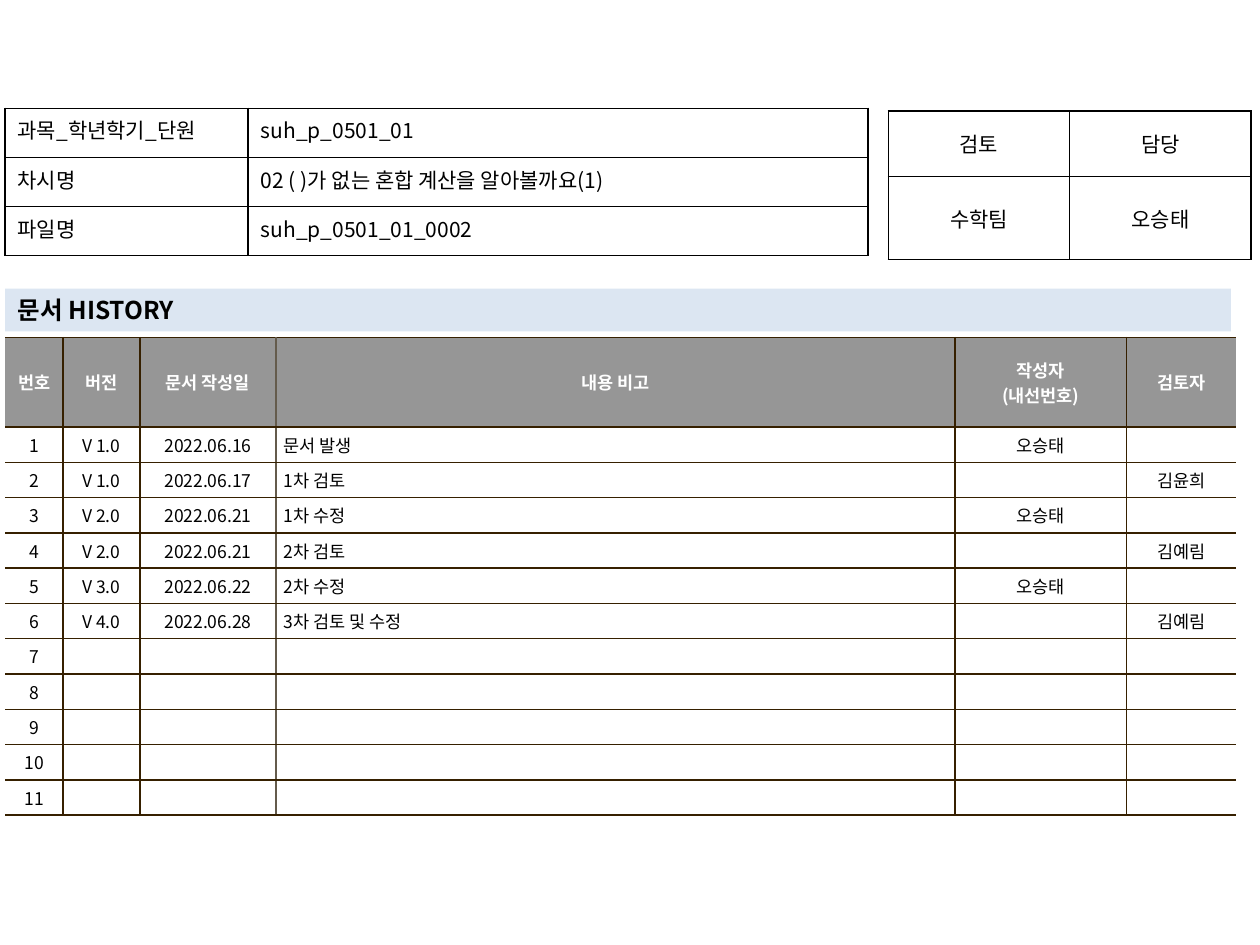
from dataclasses import dataclass
from typing import Optional

from lxml import etree
from pptx import Presentation
from pptx.dml.color import RGBColor
from pptx.enum.text import MSO_ANCHOR, MSO_AUTO_SIZE, PP_ALIGN
from pptx.oxml.ns import qn
from pptx.util import Inches, Pt

LEFT, CENTER, JUSTIFY = PP_ALIGN.LEFT, PP_ALIGN.CENTER, PP_ALIGN.JUSTIFY
TOP, MIDDLE = MSO_ANCHOR.TOP, MSO_ANCHOR.MIDDLE
TITLE_ONLY = 5


@dataclass(frozen=True)
class Theme:
    font: str = "Noto Sans CJK KR"
    ink: str = "000000"
    paper: str = "FFFFFF"
    band: str = "DCE6F2"
    header: str = "969696"
    rule: str = "362000"
    soft_rule: str = "645B4C"
    border_width: float = 1
    small: float = 10
    body: float = 12
    heading: float = 14


THEME = Theme()


@dataclass(frozen=True)
class Grid:
    """A table's place, column widths, row heights (inches) and cell style."""
    left: float
    top: float
    columns: tuple[float, ...]
    rows: tuple[float, ...]
    aligns: tuple[PP_ALIGN, ...]
    anchor: MSO_ANCHOR
    size: float
    inset: tuple[float, float]
    verticals: tuple[Optional[str], ...]
    horizontal: str
    has_header: bool = False


HISTORY_HEAD = ("번호", "버전", "문서 작성일", "내용 비고", "작성자\n(내선번호)", "검토자")
HISTORY_ENTRIES = (
    ("V 1.0", "2022.06.16", "문서 발생", "오승태", ""),
    ("V 1.0", "2022.06.17", "1차 검토", "", "김윤희"),
    ("V 2.0", "2022.06.21", "1차 수정", "오승태", ""),
    ("V 2.0", "2022.06.21", "2차 검토", "", "김예림"),
    ("V 3.0", "2022.06.22", "2차 수정", "오승태", ""),
    ("V 4.0", "2022.06.28", "3차 검토 및 수정", "", "김예림"),
)
HISTORY_LENGTH = 11
BLANK_ENTRY = ("",) * 5
INFO = (
    ("과목_학년학기_단원", "suh_p_0501_01"),
    ("차시명", "02 ( )가 없는 혼합 계산을 알아볼까요(1)"),
    ("파일명", "suh_p_0501_01_0002"),
)
REVIEW = (("검토", "담당"), ("수학팀", "오승태"))

HISTORY_GRID = Grid(
    0.04, 2.68, (0.46, 0.61, 1.08, 5.39, 1.36, 0.87),
    (0.71,) + (0.28,) * HISTORY_LENGTH,
    (CENTER, CENTER, CENTER, LEFT, CENTER, CENTER), MIDDLE, THEME.small, (0.06, 0.04),
    (None, THEME.rule, THEME.rule, THEME.soft_rule, THEME.rule, THEME.rule, None),
    THEME.rule, has_header=True)
REVIEW_GRID = Grid(
    7.05, 0.88, (1.44,) * 2, (0.52, 0.66), (CENTER,) * 2, MIDDLE,
    THEME.body, (0.1, 0.05), (THEME.ink,) * 3, THEME.ink)
INFO_GRID = Grid(
    0.04, 0.86, (1.93, 4.92), (0.39,) * 3, (JUSTIFY, LEFT), TOP,
    THEME.body, (0.1, 0.05), (THEME.ink,) * 3, THEME.ink)


def format_text(frame, size: float, color: str, align: PP_ALIGN, bold: bool = False) -> None:
    for para in frame.paragraphs:
        para.alignment = align
        font = para.font
        font.name, font.size, font.bold = THEME.font, Pt(size), bold
        font.color.rgb = RGBColor.from_string(color)
        defaults = para._p.pPr.find(qn("a:defRPr"))
        etree.SubElement(defaults, qn("a:ea"), typeface=THEME.font)
        if not para.runs:  # keeps a blank cell as low as its row
            etree.SubElement(para._p, qn("a:endParaRPr"), sz=str(int(size * 100)))


def set_borders(cell, left: Optional[str], right: Optional[str], horizontal: str) -> None:
    properties = cell._tc.get_or_add_tcPr()
    edges = (("a:lnL", left), ("a:lnR", right), ("a:lnT", horizontal), ("a:lnB", horizontal))
    for position, (tag, color) in enumerate(edges):
        line = etree.Element(qn(tag), w=str(Pt(THEME.border_width)))
        if color is None:
            etree.SubElement(line, qn("a:noFill"))
        else:
            fill = etree.SubElement(line, qn("a:solidFill"))
            etree.SubElement(fill, qn("a:srgbClr"), val=color)
        properties.insert(position, line)


def draw_table(slide, grid: Grid, texts) -> None:
    table = slide.shapes.add_table(
        len(grid.rows), len(grid.columns), Inches(grid.left), Inches(grid.top),
        Inches(sum(grid.columns)), Inches(sum(grid.rows))).table
    table.first_row = table.horz_banding = False
    for column, width in zip(table.columns, grid.columns):
        column.width = Inches(width)
    for row, height in zip(table.rows, grid.rows):
        row.height = Inches(height)
    for r, row_texts in enumerate(texts):
        is_header = grid.has_header and r == 0
        for c, text in enumerate(row_texts):
            cell = table.cell(r, c)
            cell.text = text
            cell.vertical_anchor = grid.anchor
            cell.margin_left = cell.margin_right = Inches(grid.inset[0])
            cell.margin_top = cell.margin_bottom = Inches(grid.inset[1])
            cell.fill.solid()
            cell.fill.fore_color.rgb = RGBColor.from_string(
                THEME.header if is_header else THEME.paper)
            set_borders(cell, grid.verticals[c], grid.verticals[c + 1], grid.horizontal)
            format_text(cell.text_frame, grid.size,
                        THEME.paper if is_header else THEME.ink,
                        CENTER if is_header else grid.aligns[c], is_header)


def draw_title(slide, text: str) -> None:
    title = slide.shapes.title
    title.left, title.top = Inches(0.04), Inches(2.29)
    title.width, title.height = Inches(9.73), Inches(0.34)
    title.fill.solid()
    title.fill.fore_color.rgb = RGBColor.from_string(THEME.band)
    frame = title.text_frame
    frame.text = text
    frame.auto_size = MSO_AUTO_SIZE.NONE
    frame.vertical_anchor = MIDDLE
    format_text(frame, THEME.heading, THEME.ink, LEFT, bold=True)


def main() -> None:
    deck = Presentation()
    deck.slide_width, deck.slide_height = Inches(10), Inches(7.5)
    slide = deck.slides.add_slide(deck.slide_layouts[TITLE_ONLY])
    entries = HISTORY_ENTRIES + (BLANK_ENTRY,) * (HISTORY_LENGTH - len(HISTORY_ENTRIES))
    numbered = [(str(number), *entry) for number, entry in enumerate(entries, 1)]
    draw_title(slide, "문서 HISTORY")
    draw_table(slide, HISTORY_GRID, [HISTORY_HEAD, *numbered])
    draw_table(slide, REVIEW_GRID, REVIEW)
    draw_table(slide, INFO_GRID, INFO)
    deck.save("out.pptx")


if __name__ == "__main__":
    main()
